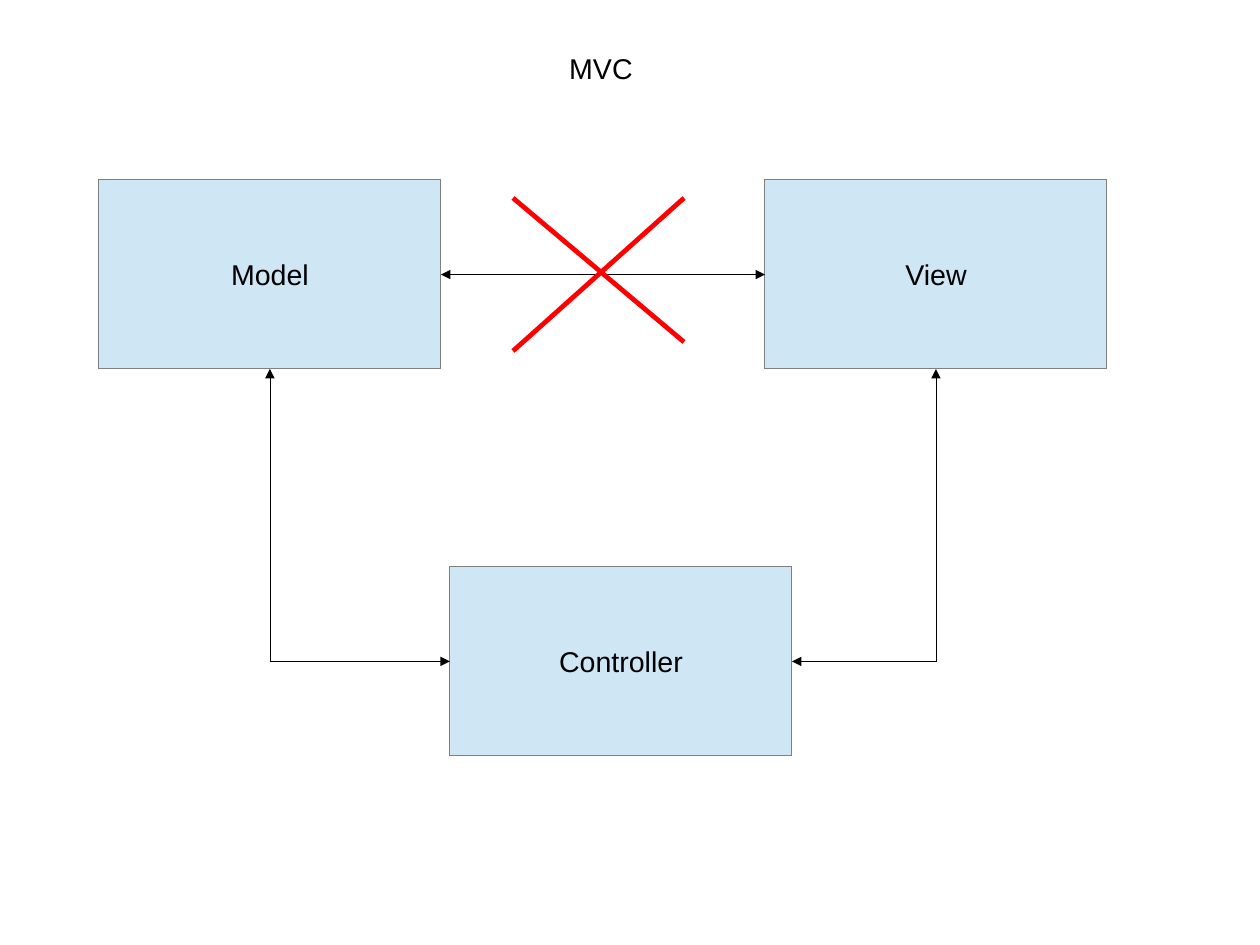
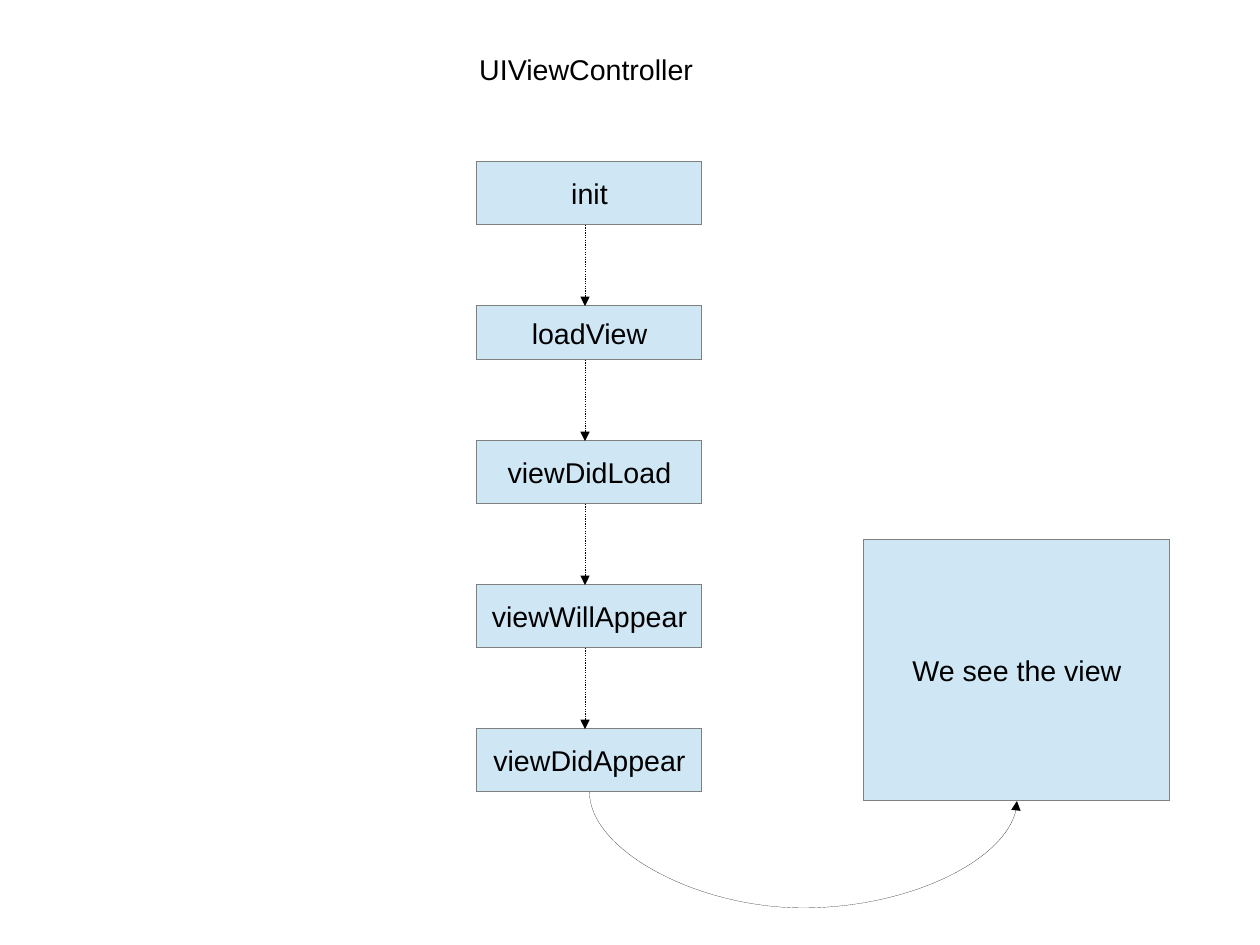
from dataclasses import dataclass

from lxml.etree import SubElement
from pptx import Presentation
from pptx.dml.color import RGBColor
from pptx.enum.dml import MSO_LINE
from pptx.enum.shapes import MSO_CONNECTOR, MSO_SHAPE
from pptx.enum.text import MSO_ANCHOR, MSO_AUTO_SIZE, PP_ALIGN
from pptx.oxml.ns import qn
from pptx.shapes.autoshape import Shape
from pptx.shapes.connector import Connector
from pptx.slide import Slide
from pptx.text.text import TextFrame
from pptx.util import Cm, Pt

BLACK = RGBColor(0x00, 0x00, 0x00)
RED = RGBColor(0xFF, 0x00, 0x00)
GREY = RGBColor(0x80, 0x80, 0x80)
PALE_BLUE = RGBColor(0xCF, 0xE7, 0xF5)
FONT = "Arial"
TEXT_SIZE = Pt(18)
HAIRLINE = Pt(0.01)
TOP, LEFT, BOTTOM, RIGHT = range(4)


@dataclass(frozen=True)
class Box:
    """A labelled rectangle, measured in centimetres."""
    label: str
    left: float
    top: float
    width: float
    height: float


def write(frame: TextFrame, text: str) -> None:
    frame.text = text
    font = frame.paragraphs[0].runs[0].font
    font.name = FONT
    font.size = TEXT_SIZE
    font.color.rgb = BLACK


def add_title(slide: Slide, text: str, left: float, top: float, width: float) -> None:
    frame = slide.shapes.add_textbox(Cm(left), Cm(top), Cm(width), Cm(0.97)).text_frame
    frame.word_wrap = False
    frame.auto_size = MSO_AUTO_SIZE.SHAPE_TO_FIT_TEXT
    write(frame, text)


def add_box(slide: Slide, box: Box) -> Shape:
    shape = slide.shapes.add_shape(
        MSO_SHAPE.RECTANGLE, Cm(box.left), Cm(box.top), Cm(box.width), Cm(box.height))
    shape.shadow.inherit = False
    shape.fill.solid()
    shape.fill.fore_color.rgb = PALE_BLUE
    shape.line.color.rgb = GREY
    shape.line.width = HAIRLINE
    frame = shape.text_frame
    frame.word_wrap = True
    frame.vertical_anchor = MSO_ANCHOR.MIDDLE
    write(frame, box.label)
    frame.paragraphs[0].alignment = PP_ALIGN.CENTER
    return shape


def add_line(slide: Slide, kind: MSO_CONNECTOR = MSO_CONNECTOR.STRAIGHT,
             start: tuple[float, float] = (0, 0), end: tuple[float, float] = (0, 0),
             color: RGBColor = BLACK, width: Pt = HAIRLINE) -> Connector:
    line = slide.shapes.add_connector(kind, *map(Cm, start + end))
    line.line.color.rgb = color
    line.line.width = width
    SubElement(line._element.spPr, qn("a:effectLst"))
    return line


def add_arrowheads(line: Connector, *ends: str) -> None:
    """Put triangles on the given ends: headEnd is the start, tailEnd the finish."""
    outline = line._element.spPr.find(qn("a:ln"))
    for end in ends:
        SubElement(outline, qn(f"a:{end}"), type="triangle")


def join(line: Connector, source: Shape, source_side: int,
         target: Shape, target_side: int) -> None:
    line.begin_connect(source, source_side)
    line.end_connect(target, target_side)


def build_mvc(slide: Slide) -> None:
    width, height = 7.6, 4.2
    model, view, controller = (
        add_box(slide, Box(label, left, top, width, height))
        for label, left, top in (
            ("Model", 2.2, 4), ("View", 17, 4), ("Controller", 10, 12.6)))
    add_title(slide, "MVC", 12.4, 1, 1.92)

    for side, partner in ((LEFT, model), (RIGHT, view)):
        link = add_line(slide, MSO_CONNECTOR.ELBOW)
        join(link, controller, side, partner, BOTTOM)
        link._element.spPr.find(qn("a:prstGeom")).set("prst", "bentConnector2")
        add_arrowheads(link, "headEnd", "tailEnd")

    forbidden_link = add_line(slide)
    join(forbidden_link, model, RIGHT, view, LEFT)
    add_arrowheads(forbidden_link, "headEnd", "tailEnd")
    for start, end in (((11.4, 4.4), (15.2, 7.6)), ((15.2, 4.4), (11.4, 7.8))):
        add_line(slide, start=start, end=end, color=RED, width=Pt(3))


def add_return_curve(slide: Slide, start: tuple[float, float],
                     end: tuple[float, float], bulge: float) -> None:
    """Curve below both points; the bulge is a multiple of their height difference."""
    (x1, y1), (x2, y2) = start, end
    centre_x, centre_y = (x1 + x2) / 2, (y1 + y2) / 2
    half_rise, half_run = (y2 - y1) / 2, (x2 - x1) / 2
    # The frame is laid out upright and mirrored, then turned by 270 degrees.
    curve = add_line(slide, MSO_CONNECTOR.CURVE,
                     (centre_x + half_rise, centre_y - half_run),
                     (centre_x - half_rise, centre_y + half_run))
    properties = curve._element.spPr
    properties.find(qn("a:xfrm")).set("rot", str(270 * 60000))
    adjustments = properties.find(qn("a:prstGeom")).find(qn("a:avLst"))
    SubElement(adjustments, qn("a:gd"), name="adj1", fmla=f"val {round(bulge * 100000)}")
    add_arrowheads(curve, "tailEnd")


def build_life_cycle(slide: Slide) -> None:
    add_title(slide, "UIViewController", 10.4, 1.04, 5.26)
    left, top, width, gap = 10.6, 3.6, 5, 1.8
    arrow_x = 13
    for index, (method, height) in enumerate((
            ("init", 1.4), ("loadView", 1.2), ("viewDidLoad", 1.4),
            ("viewWillAppear", 1.4), ("viewDidAppear", 1.4))):
        add_box(slide, Box(method, left, top, width, height))
        if index > 0:
            arrow = add_line(slide, start=(arrow_x, top - gap), end=(arrow_x, top))
            arrow.line.dash_style = MSO_LINE.ROUND_DOT
            add_arrowheads(arrow, "tailEnd")
        top += height + gap

    result = Box("We see the view", 19.2, 12, 6.8, 5.8)
    add_box(slide, result)
    add_return_curve(slide, (left + width / 2, top - gap),
                     (result.left + result.width / 2, result.top + result.height), 12.88)


def main() -> None:
    deck = Presentation()
    deck.slide_width, deck.slide_height = Cm(28), Cm(21)
    for build in (build_mvc, build_life_cycle):
        build(deck.slides.add_slide(deck.slide_layouts[6]))
    deck.save("out.pptx")


if __name__ == "__main__":
    main()
